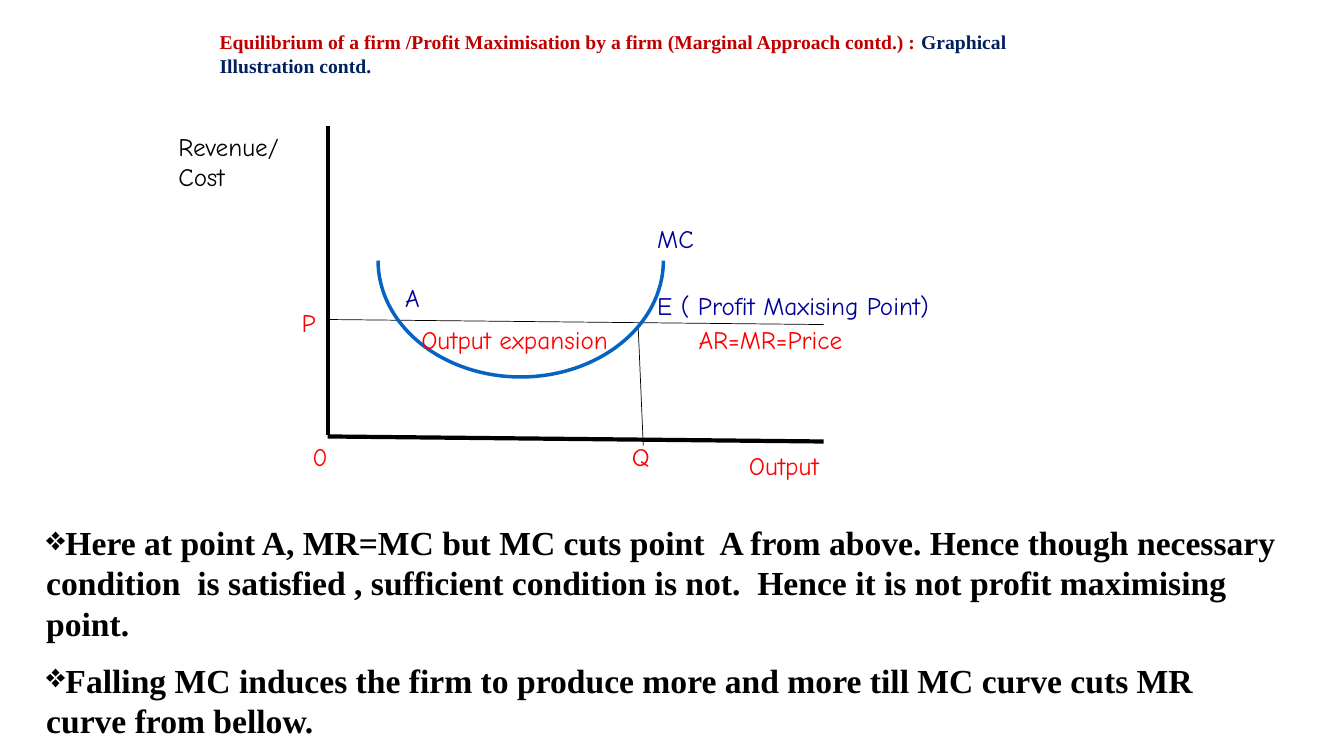
from lxml import etree
from pptx import Presentation
from pptx.dml.color import RGBColor
from pptx.enum.shapes import MSO_CONNECTOR, MSO_SHAPE
from pptx.oxml.ns import qn
from pptx.util import Inches, Pt

STRAIGHT = MSO_CONNECTOR.STRAIGHT
ARC = MSO_SHAPE.ARC
BLACK, RED, NAVY = "000000", "FF0000", "000099"
SERIF, HAND = "Times New Roman", "Comic Neue"


def color(hex_code):
    return RGBColor.from_string(hex_code)


def add_text(lines, left, top, width, height, font, size, hex_code, bold=False):
    frame = slide.shapes.add_textbox(
        Inches(left), Inches(top), Inches(width), Inches(height)).text_frame
    frame.word_wrap = True
    frame.text = "\n".join(lines)
    for paragraph in frame.paragraphs:
        paragraph.font.name = font
        paragraph.font.size = Pt(size)
        paragraph.font.bold = bold
        paragraph.font.color.rgb = color(hex_code)
    return frame


prs = Presentation()
prs.slide_width, prs.slide_height = Inches(13.33), Inches(7.5)
slide = prs.slides.add_slide(prs.slide_layouts[6])

title = add_text(
    ["Equilibrium of a firm /Profit Maximisation by a firm (Marginal Approach contd.) : "],
    2.08, 0.25, 8.67, 0.6, SERIF, 14, "C00000", True).paragraphs[0]
title_ending = title.add_run()
title_ending.text = "Graphical Illustration contd."
title_ending.font.color.rgb = color("002060")

graph_lines = [
    (3.25, 1.25, 3.25, 4.32, 3),
    (3.25, 4.33, 8.17, 4.38, 3),
    (3.25, 3.17, 8.17, 3.22, 0.5),
    (6.33, 3.25, 6.38, 4.42, 0.5),
]
for x1, y1, x2, y2, weight in graph_lines:
    graph_line = slide.shapes.add_connector(
        STRAIGHT, Inches(x1), Inches(y1), Inches(x2), Inches(y2))
    graph_line.line.color.rgb = color(BLACK)
    graph_line.line.width = Pt(weight)
    etree.SubElement(graph_line._element.spPr, qn("a:effectLst"))

mc_curve = slide.shapes.add_shape(
    ARC, Inches(3.75), Inches(1.43), Inches(2.83), Inches(2.31))
mc_curve.adjustments[0] = 0
mc_curve.adjustments[1] = 108
mc_curve.shadow.inherit = False
mc_curve.fill.background()
mc_curve.line.color.rgb = color("0563C1")
mc_curve.line.width = Pt(2.5)

graph_labels = [
    (["Revenue/", "Cost"], 1.67, 1.25, 2.28, BLACK),
    (["MC"], 6.42, 2.17, 2.28, NAVY),
    (["A"], 3.92, 2.75, 1.58, NAVY),
    (["E ( Profit Maxising Point)"], 6.42, 2.83, 4.25, NAVY),
    (["P"], 2.92, 3, 0.17, RED),
    (["Output expansion"], 4.08, 3.17, 2.58, RED),
    (["AR=MR=Price"], 6.83, 3.17, 2.28, RED),
    (["0"], 3, 4.33, 0.5, RED),
    (["Q"], 6.17, 4.33, 0.67, RED),
    (["Output"], 7.33, 4.42, 2.28, RED),
]
for lines, left, top, width, hex_code in graph_labels:
    add_text(lines, left, top, width, 0.1 + 0.3 * len(lines), HAND, 18, hex_code)

explanation = add_text([
    "Here at point A, MR=MC but MC cuts point  A from above. Hence though necessary "
    "condition  is satisfied , sufficient condition is not.  Hence it is not profit "
    "maximising point.",
    "Falling MC induces the firm to produce more and more till MC curve cuts MR "
    "curve from bellow.",
], 0.36, 5.13, 12.42, 2.3, SERIF, 24, BLACK, True)
for point in explanation.paragraphs:
    properties = point._p.get_or_add_pPr()
    bullet = etree.Element(qn("a:buChar"), char="❖")
    properties.insert(0, bullet)
explanation.paragraphs[1].space_before = Pt(12)

prs.save("out.pptx")
